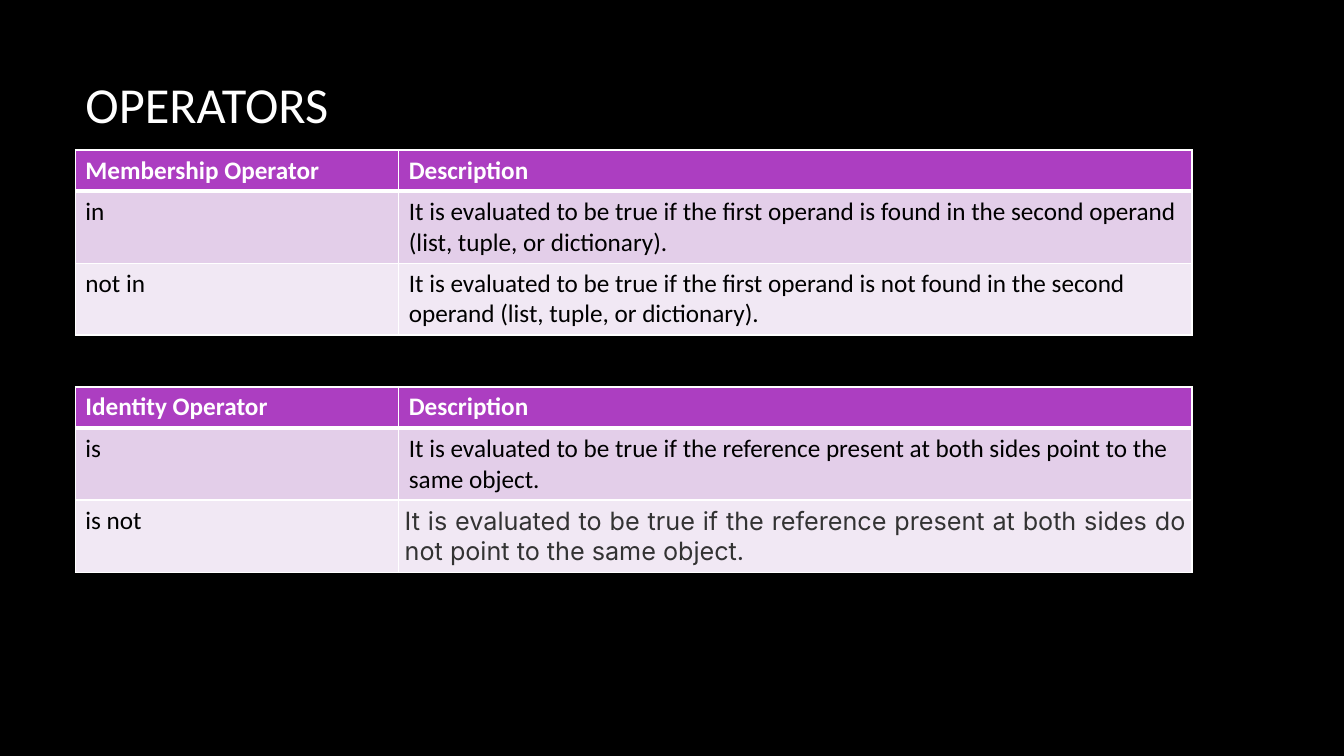
import lxml.etree
import pptx
import pptx.dml.color
import pptx.enum.text
import pptx.oxml.ns
import pptx.util

Cm = pptx.util.Cm
Pt = pptx.util.Pt
ALIGN = pptx.enum.text.PP_ALIGN

COLOURS = {
    "background": "000000",
    "white": "FFFFFF",
    "black": "000000",
    "grey": "333333",
    "header": "AC3EC1",
    "odd_row": "E3CEE9",
    "even_row": "F1E8F4",
}
ROW_FILLS = ["header", "odd_row", "even_row"]
ROW_HEIGHTS = [1.04, 1.81, 1.81]
NAME_WIDTH = 8.15

MEMBERSHIP = [
    ("Membership Operator", "Description"),
    ("in", "It is evaluated to be true if the first operand is found in the "
           "second operand (list, tuple, or dictionary)."),
    ("not in", "It is evaluated to be true if the first operand is not found in "
               "the second operand (list, tuple, or dictionary)."),
]
IDENTITY = [
    ("Identity Operator", "Description"),
    ("is", "It is evaluated to be true if the reference present at both sides "
           "point to the same object."),
    ("is not", "It is evaluated to be true if the reference present at both sides "
               "do not point to the same object."),
]


def colour(name):
    return pptx.dml.color.RGBColor.from_string(COLOURS[name])


def write(frame, text, size=18, font="Calibri", ink="black", bold=False, align=ALIGN.LEFT):
    para = frame.paragraphs[0]
    para.alignment = align
    span = para.add_run()
    span.text = text
    span.font.size = Pt(size)
    span.font.name = font
    span.font.bold = bold
    span.font.color.rgb = colour(ink)


def set_borders(cell, widths):
    """Draw white cell edges; widths are points for left, right, top, bottom."""
    properties = cell._tc.get_or_add_tcPr()
    for index, (side, width) in enumerate(zip("LRTB", widths)):
        line = lxml.etree.Element(pptx.oxml.ns.qn("a:ln" + side), w=str(Pt(width)))
        fill = lxml.etree.SubElement(line, pptx.oxml.ns.qn("a:solidFill"))
        lxml.etree.SubElement(fill, pptx.oxml.ns.qn("a:srgbClr"), val=COLOURS["white"])
        properties.insert(index, line)


def add_title(page, box, text):
    title = page.shapes.title
    title.left, title.top, title.width, title.height = [Cm(length) for length in box]
    frame = title.text_frame
    frame.auto_size = pptx.enum.text.MSO_AUTO_SIZE.NONE
    frame.vertical_anchor = pptx.enum.text.MSO_ANCHOR.MIDDLE
    write(frame, text, size=36, ink="white")


def add_operator_table(page, box, rows):
    """Place a two-column table and return its cells' table."""
    left, top, width = box
    table = page.shapes.add_table(len(rows), 2, Cm(left), Cm(top), Cm(width),
                                  Cm(sum(ROW_HEIGHTS))).table
    table.horz_banding = False
    table.columns[0].width = Cm(NAME_WIDTH)
    table.columns[1].width = Cm(width - NAME_WIDTH)
    for row, texts in enumerate(rows):
        table.rows[row].height = Cm(ROW_HEIGHTS[row])
        is_header = row == 0
        for column, text in enumerate(texts):
            cell = table.cell(row, column)
            cell.fill.solid()
            cell.fill.fore_color.rgb = colour(ROW_FILLS[row])
            set_borders(cell, (1, 1, 3 if row == 1 else 1, 3 if is_header else 1))
            style = {"ink": "white", "bold": True} if is_header else {}
            if text == IDENTITY[-1][1]:
                # The closing description has its own font and tighter margins
                style = {"font": "Inter", "ink": "grey", "align": ALIGN.JUSTIFY}
                cell.margin_left = cell.margin_right = Cm(0.15)
                cell.margin_top = cell.margin_bottom = Cm(0.15)
            write(cell.text_frame, text, **style)


def build_operators_page(deck):
    page = deck.slides.add_slide(deck.slide_layouts[5])
    page.background.fill.solid()
    page.background.fill.fore_color.rgb = colour("background")
    left, width = 1.9, 28.14
    add_title(page, (left, 1.45, width, 2.33), "OPERATORS")
    # Operator tables
    for top, rows in ((3.78, MEMBERSHIP), (9.75, IDENTITY)):
        add_operator_table(page, (left, top, width), rows)


deck = pptx.Presentation()
deck.slide_width, deck.slide_height = Cm(33.87), Cm(19.05)
build_operators_page(deck)
deck.save("out.pptx")
